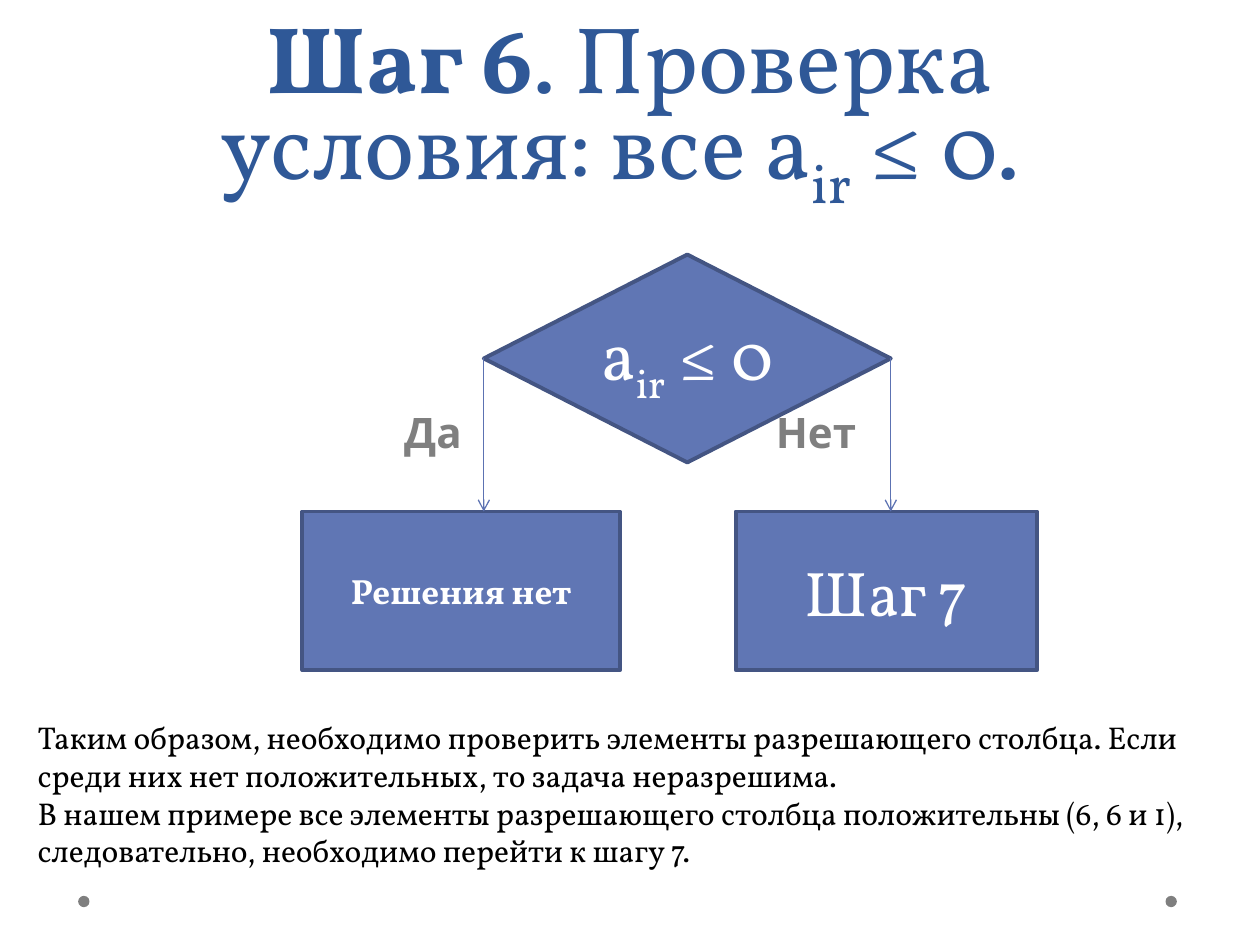
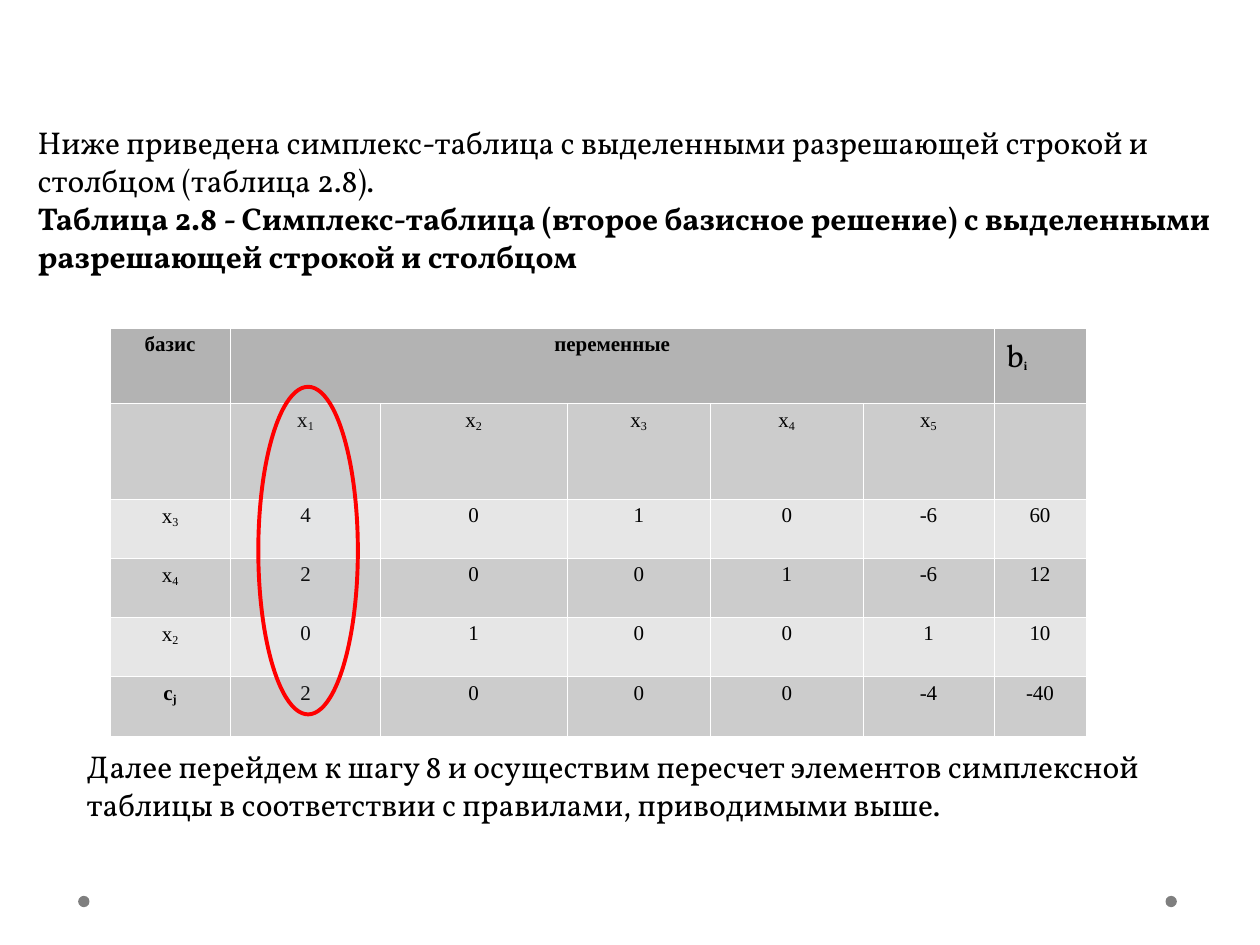
from dataclasses import dataclass

from lxml import etree
from pptx import Presentation
from pptx import util as u
from pptx.dml.color import RGBColor
from pptx.enum import shapes, text
from pptx.oxml.ns import qn

COLORS = {
    "title": "2F5897", "block": "6076B4", "outline": "445583", "arrow": "5C72B2",
    "gray": "7F7F7F", "white": "FFFFFF", "black": "000000", "red": "FF0000",
    "halo": "CFDCF0", "header": "B3B3B3", "dark": "CCCCCC", "light": "E6E6E6",
}
SERIF, SANS, TABLE_FONT = "Vollkorn", "League Spartan", "Times New Roman"
CENTER, LEFT = text.PP_ALIGN.CENTER, text.PP_ALIGN.LEFT


@dataclass
class Style:
    size: float
    color: str = "black"
    name: str = SERIF
    bold: bool = False
    align: text.PP_ALIGN = LEFT
    sub: int = -25


@dataclass
class Box:
    left: float
    top: float
    width: float
    height: float

    def emu(self) -> list[u.Length]:
        return [u.Inches(v) for v in (self.left, self.top, self.width, self.height)]


@dataclass
class Block:
    kind: shapes.MSO_SHAPE
    box: Box
    label: str
    style: Style


def rgb(key: str) -> RGBColor:
    return RGBColor.from_string(COLORS[key])


def write(p, label: str, style: Style) -> None:
    """Fill a paragraph; parts between tildes are subscripts."""
    p.alignment = style.align
    f = p.font
    f.name, f.size, f.bold = style.name, u.Pt(style.size), style.bold
    f.color.rgb = rgb(style.color)
    for i, part in enumerate(label.split("~")):
        if part:
            r = p.add_run()
            r.text = part
            if i % 2:
                r._r.get_or_add_rPr().set("baseline", str(style.sub * 1000))


def add_text(s, box: Box, *lines: tuple[str, Style]) -> None:
    tf = s.shapes.add_textbox(*box.emu()).text_frame
    tf.word_wrap = True
    for i, (label, style) in enumerate(lines):
        write(tf.add_paragraph() if i else tf.paragraphs[0], label, style)


def add_figure(s, kind: shapes.MSO_SHAPE, box: Box, fill: str, line: str = ""):
    sp = s.shapes.add_shape(kind, *box.emu())
    sp.shadow.inherit = False
    sp.fill.solid()
    sp.fill.fore_color.rgb = rgb(fill)
    if line:
        sp.line.color.rgb = rgb(line)
        sp.line.width = u.Pt(2.25)
    else:
        sp.line.fill.background()
    return sp


def add_block(s, block: Block) -> None:
    tf = add_figure(s, block.kind, block.box, "block", "outline").text_frame
    tf.word_wrap = True
    tf.vertical_anchor = text.MSO_ANCHOR.MIDDLE
    write(tf.paragraphs[0], block.label, block.style)


def add_arrow(s, x: float, top: float, bottom: float) -> None:
    c = s.shapes.add_connector(shapes.MSO_CONNECTOR.STRAIGHT, u.Inches(x), u.Inches(top),
                               u.Inches(x), u.Inches(bottom))
    c.line.color.rgb = rgb("arrow")
    c.line.width = u.Pt(0.75)
    etree.SubElement(c.line._get_or_add_ln(), qn("a:tailEnd"), type="arrow")
    etree.SubElement(c._element.spPr, qn("a:effectLst"))


def add_slide(prs, layout: int):
    """Add a slide with the two footer dots."""
    s = prs.slides.add_slide(prs.slide_layouts[layout])
    for left in (9.25, 0.62):
        add_figure(s, shapes.MSO_SHAPE.OVAL, Box(left, 7.11, 0.09, 0.09), "gray")
    return s


def format_cell(cell, fill: str) -> None:
    tcPr = cell._tc.get_or_add_tcPr()
    for side in ("lnL", "lnR", "lnT", "lnB"):
        ln = etree.SubElement(tcPr, qn(f"a:{side}"), w="762")
        paint = etree.SubElement(ln, qn("a:solidFill"))
        etree.SubElement(paint, qn("a:srgbClr"), val=COLORS["white"])
    cell.fill.solid()
    cell.fill.fore_color.rgb = rgb(fill)


BODY = Style(18)
BODY_BOLD = Style(18, bold=True)

# Step 6 flowchart
DECISION = Box(3.84, 2.02, 3.23, 1.65)
RESULT_TOP, RESULT_HEIGHT = 4.06, 1.26
BLOCKS = [
    Block(shapes.MSO_SHAPE.FLOWCHART_DECISION, DECISION, "a~ir~ ≤ 0",
          Style(40, "white", align=CENTER)),
    Block(shapes.MSO_SHAPE.RECTANGLE, Box(2.4, RESULT_TOP, 2.52, RESULT_HEIGHT), "Решения нет",
          Style(20, "white", bold=True, align=CENTER)),
    Block(shapes.MSO_SHAPE.RECTANGLE, Box(5.84, RESULT_TOP, 2.39, RESULT_HEIGHT), "Шаг 7",
          Style(36, "white", align=CENTER)),
]


def build_step_slide(prs) -> None:
    s = add_slide(prs, 5)

    # Title
    title = s.shapes.title
    title.left, title.top, title.width, title.height = Box(0.5, 0, 9, 1.75).emu()
    tf = title.text_frame
    tf.auto_size = text.MSO_AUTO_SIZE.NONE
    tf.vertical_anchor = text.MSO_ANCHOR.BOTTOM
    p = tf.paragraphs[0]
    p.line_spacing = u.Pt(57.9)
    r = p.add_run()
    r.text, r.font.bold = "Шаг 6", True
    write(p, ". Проверка условия: все a~ir~ ≤ 0. ", Style(54, "title", align=CENTER))

    # Branch labels, blocks and arrows
    branch = Style(24, "gray", SANS, bold=True)
    for label, left in (("Да", 3.11), ("Нет", 6.06)):
        add_text(s, Box(left, 3.18, 0.9, 0.55), (label, branch))
    for block in BLOCKS:
        add_block(s, block)
    for x in (DECISION.left + DECISION.width, DECISION.left):
        add_arrow(s, x, DECISION.top + DECISION.height / 2, RESULT_TOP)

    # Conclusion
    add_text(s, Box(0.2, 5.65, 9.69, 1.6),
             ("Таким образом, необходимо проверить элементы разрешающего столбца. Если среди "
              "них нет положительных, то задача неразрешима.", BODY),
             ("В нашем примере все элементы разрешающего столбца положительны (6, 6 и 1), "
              "следовательно, необходимо перейти к шагу 7.", BODY))


# Simplex table
COLUMN_WIDTHS = [0.96, 1.19, 1.48, 1.14, 1.21, 1.04, 0.73]
ROW_HEIGHTS = [0.6, 0.76] + [0.47] * 4
ROW_FILLS = ["header", "dark", "light", "dark", "light", "dark"]
SIMPLEX = [
    ["базис", "переменные", "", "", "", "", ""],
    ["", "x~1~", "x~2~", "x~3~", "x~4~", "x~5~", ""],
    ["x~3~", "4", "0", "1", "0", "-6", "60"],
    ["x~4~", "2", "0", "0", "1", "-6", "12"],
    ["x~2~", "0", "1", "0", "0", "1", "10"],
    ["c~j~", "2", "0", "0", "0", "-4", "-40"],
]
BOLD_LABELS = {"базис", "переменные", "c~j~"}


def add_simplex_table(s) -> None:
    box = Box(0.87, 2.6, sum(COLUMN_WIDTHS), sum(ROW_HEIGHTS))
    table = s.shapes.add_table(len(SIMPLEX), len(COLUMN_WIDTHS), *box.emu()).table
    table.first_row = table.horz_banding = False
    for column, width in zip(table.columns, COLUMN_WIDTHS):
        column.width = u.Inches(width)
    for i, (labels, fill) in enumerate(zip(SIMPLEX, ROW_FILLS)):
        table.rows[i].height = u.Inches(ROW_HEIGHTS[i])
        for j, label in enumerate(labels):
            cell = table.cell(i, j)
            format_cell(cell, fill)
            if label:
                p = cell.text_frame.paragraphs[0]
                p.line_spacing = 0.93
                write(p, label, Style(12, name=TABLE_FONT, bold=label in BOLD_LABELS,
                                      align=CENTER, sub=-14))
    table.cell(0, 1).merge(table.cell(0, 5))

    # Right-hand side heading mixes two fonts
    p = table.cell(0, 6).text_frame.paragraphs[0]
    p.line_spacing = 1.08
    write(p, "b~i~", Style(18, sub=-14))
    f = p.runs[1].font
    f.name, f.size, f.bold = TABLE_FONT, u.Pt(12), True


def build_table_slide(prs) -> None:
    s = add_slide(prs, 6)
    add_simplex_table(s)

    # Highlight of the pivot column
    ring = add_figure(s, shapes.MSO_SHAPE.OVAL, Box(2.05, 3.07, 0.79, 2.6), "halo", "red")
    color = ring._element.spPr.find(qn("a:solidFill"))[0]
    etree.SubElement(color, qn("a:alpha"), val="7000")

    # Text above and below the table
    add_text(s, Box(0.2, 0.93, 9.61, 1.3),
             ("Ниже приведена симплекс-таблица с выделенными разрешающей строкой и столбцом "
              "(таблица 2.8).", BODY),
             ("Таблица 2.8 - Симплекс-таблица (второе базисное решение) с выделенными "
              "разрешающей строкой и столбцом", BODY_BOLD))
    add_text(s, Box(0.59, 5.88, 8.74, 0.7),
             ("Далее перейдем к шагу 8 и осуществим пересчет элементов симплексной таблицы в "
              "соответствии с правилами, приводимыми выше.", BODY))


def main() -> None:
    prs = Presentation()
    prs.slide_width, prs.slide_height = u.Inches(10), u.Inches(7.5)
    build_step_slide(prs)
    build_table_slide(prs)
    prs.save("out.pptx")


if __name__ == "__main__":
    main()
